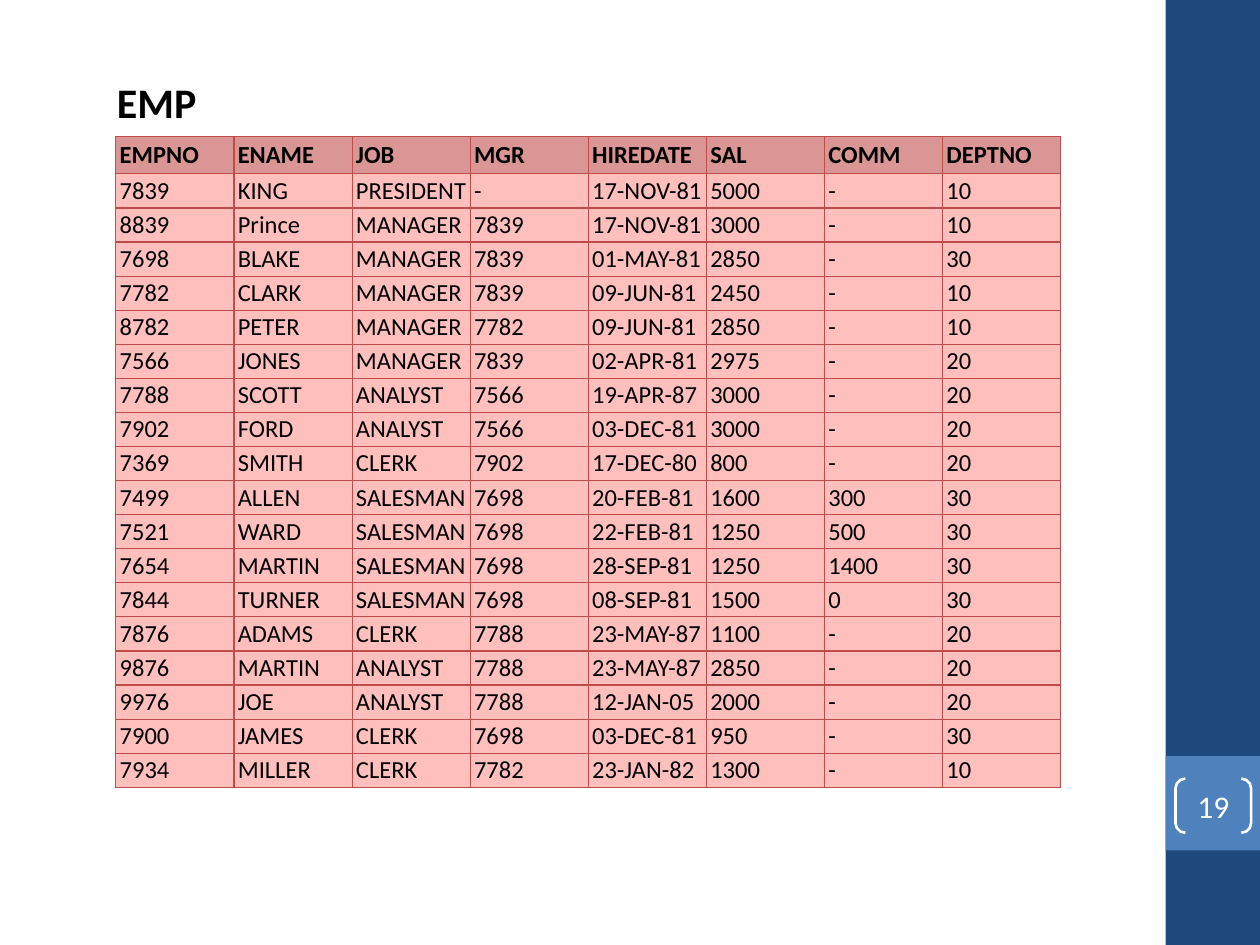
from pptx import Presentation
from pptx.dml.color import RGBColor
from pptx.enum import shapes, text
from pptx.oxml import parse_xml
from pptx.oxml.ns import nsdecls
from pptx.util import Inches, Pt

NAVY = RGBColor(0x1F, 0x49, 0x7D)
BLUE = RGBColor(0x4F, 0x81, 0xBD)
WHITE = RGBColor(0xFF, 0xFF, 0xFF)
BLACK = RGBColor(0, 0, 0)
ROSE = RGBColor(0xD9, 0x96, 0x94)
PINK = RGBColor(0xFF, 0xBF, 0xBD)
RED = RGBColor(0xBF, 0x4C, 0x48)

HEAD = "EMPNO ENAME JOB MGR HIREDATE SAL COMM DEPTNO"
STAFF = """\
7839 KING PRESIDENT - 17-NOV-81 5000 - 10
8839 Prince MANAGER 7839 17-NOV-81 3000 - 10
7698 BLAKE MANAGER 7839 01-MAY-81 2850 - 30
7782 CLARK MANAGER 7839 09-JUN-81 2450 - 10
8782 PETER MANAGER 7782 09-JUN-81 2850 - 10
7566 JONES MANAGER 7839 02-APR-81 2975 - 20
7788 SCOTT ANALYST 7566 19-APR-87 3000 - 20
7902 FORD ANALYST 7566 03-DEC-81 3000 - 20
7369 SMITH CLERK 7902 17-DEC-80 800 - 20
7499 ALLEN SALESMAN 7698 20-FEB-81 1600 300 30
7521 WARD SALESMAN 7698 22-FEB-81 1250 500 30
7654 MARTIN SALESMAN 7698 28-SEP-81 1250 1400 30
7844 TURNER SALESMAN 7698 08-SEP-81 1500 0 30
7876 ADAMS CLERK 7788 23-MAY-87 1100 - 20
9876 MARTIN ANALYST 7788 23-MAY-87 2850 - 20
9976 JOE ANALYST 7788 12-JAN-05 2000 - 20
7900 JAMES CLERK 7698 03-DEC-81 950 - 30
7934 MILLER CLERK 7782 23-JAN-82 1300 - 10"""


class Deck:
    font = "Calibri"

    def __init__(self, wide, high):
        self.prs = Presentation()
        self.prs.slide_width, self.prs.slide_height = Inches(wide), Inches(high)
        self.slide = self.prs.slides.add_slide(self.prs.slide_layouts[6])

    def run(self, para, words, size, color, bold=False):
        run = para.add_run()
        run.text = words
        run.font.name, run.font.size, run.font.bold = self.font, Pt(size), bold
        run.font.color.rgb = color

    def shape(self, kind, box, fill=None, line=None):
        shape = self.slide.shapes.add_shape(kind, *map(Inches, box))
        shape.shadow.inherit = False
        if fill is None:
            shape.fill.background()
        else:
            shape.fill.solid()
            shape.fill.fore_color.rgb = fill
        if line is None:
            shape.line.fill.background()
        else:
            shape.line.color.rgb, shape.line.width = line, Pt(1.5)
        return shape

    def badge(self, words, box):
        shape = self.shape(shapes.MSO_SHAPE.DOUBLE_BRACKET, box, line=WHITE)
        shape.adjustments[0] = 0.18
        frame = shape.text_frame
        frame.margin_left = frame.margin_right = 0
        frame.margin_top = frame.margin_bottom = 0
        frame.vertical_anchor = text.MSO_ANCHOR.MIDDLE
        para = frame.paragraphs[0]
        para.alignment = text.PP_ALIGN.CENTER
        self.run(para, words, 18, WHITE)

    def title(self, words, box):
        frame = self.slide.shapes.add_textbox(*map(Inches, box)).text_frame
        frame.word_wrap = False
        frame.auto_size = text.MSO_AUTO_SIZE.SHAPE_TO_FIT_TEXT
        self.run(frame.paragraphs[0], words, 24, BLACK, True)

    def cell(self, cell, words, head):
        cell.margin_left, cell.margin_right = Inches(0.03), Inches(0.02)
        cell.margin_top = cell.margin_bottom = Inches(0.03 if head else 0.01)
        anchor = text.MSO_ANCHOR
        cell.vertical_anchor = anchor.BOTTOM if head else anchor.MIDDLE
        self.run(cell.text_frame.paragraphs[0], words, 14, BLACK, head)
        # Borders come before the fill in the cell properties
        props = cell._tc.get_or_add_tcPr()
        for side in "LRTB":
            props.append(parse_xml(
                f'<a:ln{side} {nsdecls("a")} w="{Pt(0.75)}"><a:solidFill>'
                f'<a:srgbClr val="{RED}"/></a:solidFill></a:ln{side}>'))
        cell.fill.solid()
        cell.fill.fore_color.rgb = ROSE if head else PINK

    def table(self, rows, box, top):
        count, wide = len(rows), len(rows[0])
        grid = self.slide.shapes.add_table(count, wide, *map(Inches, box)).table
        grid.first_row = grid.horz_banding = False
        for col in grid.columns:
            col.width = Inches(box[2] / wide)
        for r, row in enumerate(rows):
            high = (box[3] - top) / (count - 1) if r else top
            grid.rows[r].height = Inches(high)
            for c, words in enumerate(row):
                self.cell(grid.cell(r, c), words, r == 0)


def main():
    deck = Deck(10, 7.5)

    # Side band and page number
    rect = shapes.MSO_SHAPE.RECTANGLE
    deck.shape(rect, (9.25, 0, 0.75, 7.5), NAVY)
    deck.shape(rect, (9.25, 6, 0.75, 0.75), BLUE)
    deck.badge("19", (9.33, 6.18, 0.6, 0.43))

    # Employee table
    rows = [line.split() for line in [HEAD, *STAFF.splitlines()]]
    deck.table(rows, (0.92, 1.08, 7.5, 5.17), 0.3)

    # Table name
    deck.title("EMP", (0.83, 0.56, 0.84, 0.5))

    deck.prs.save("out.pptx")


if __name__ == "__main__":
    main()
